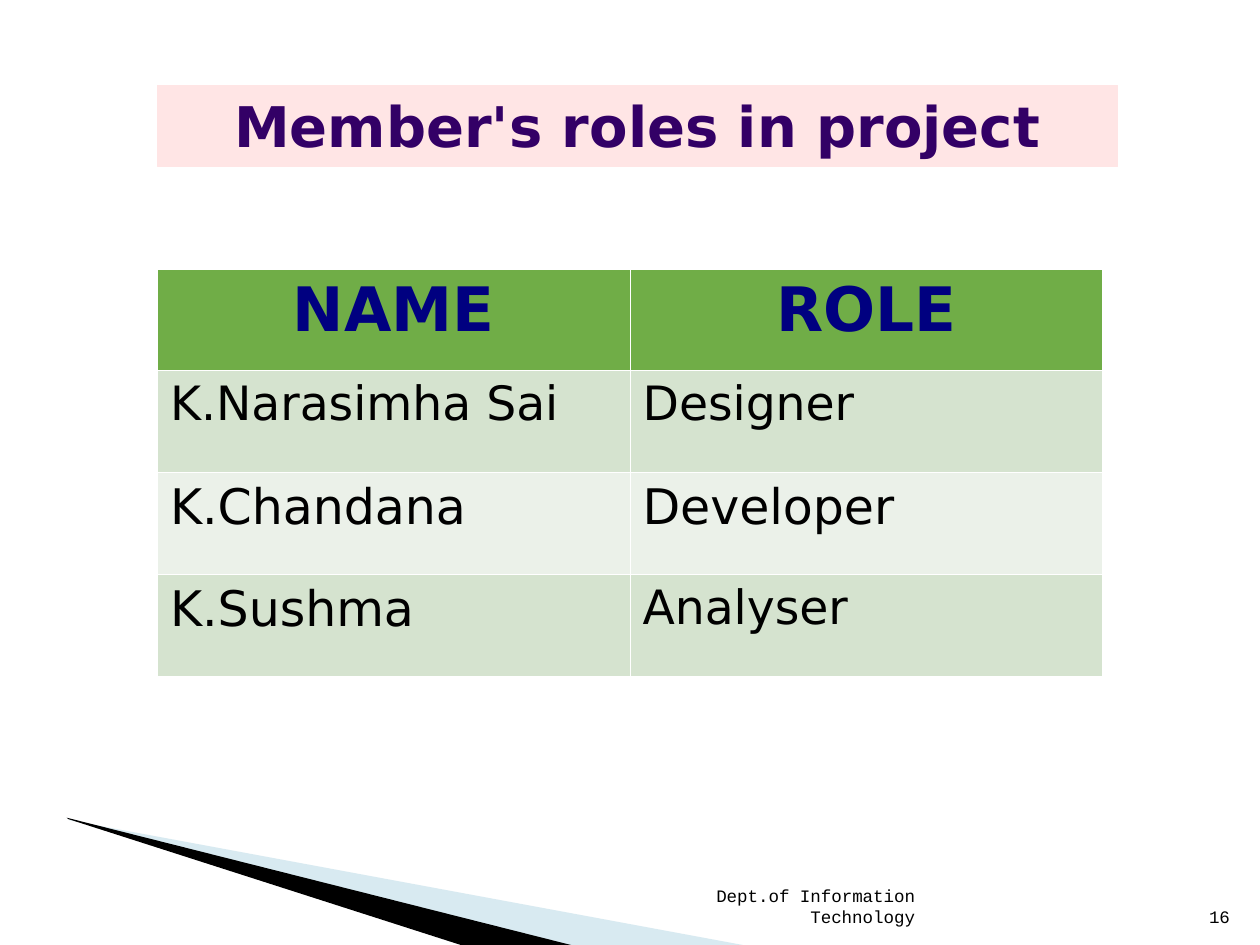
from lxml.etree import SubElement
from pptx import Presentation
from pptx.dml.color import RGBColor
from pptx.enum.text import MSO_ANCHOR as Anchor, MSO_AUTO_SIZE as AutoSize, PP_ALIGN as Align
from pptx.oxml.ns import qn
from pptx.util import Inches, Pt

BLACK = RGBColor(0x00, 0x00, 0x00)
WHITE = RGBColor(0xFF, 0xFF, 0xFF)
PALE_BLUE = RGBColor(0x9F, 0xCB, 0xDC)
PINK = RGBColor(0xFF, 0xE5, 0xE5)
PURPLE = RGBColor(0x33, 0x00, 0x66)
NAVY = RGBColor(0x00, 0x00, 0x80)
GREEN = RGBColor(0x70, 0xAD, 0x47)
LIGHT_GREEN = RGBColor(0xD5, 0xE3, 0xCF)
PALE_GREEN = RGBColor(0xEB, 0xF1, 0xE9)

MAIN_FONT = "DejaVu Sans"
FOOTER_FONT = "Courier New"

HEADING = "Member's roles in project"
ROLES = [
    [("NAME", 35), ("ROLE", 35)],
    [("K.Narasimha Sai", 27), ("Designer", 27)],
    [("K.Chandana", 28), ("Developer", 28)],
    [("K.Sushma", 28), ("Analyser", 27)],
]
FOOTERS = [("Dept.of Information Technology", 4.79, 2.57), ("16", 9.46, 0.4)]
WEDGES = [
    ([(0.55, 6.51), (5.95, 7.51), (4.56, 7.51), (0.55, 6.5)], PALE_BLUE, 40),
    ([(0.53, 6.49), (4.57, 7.51), (3.72, 7.52), (0.54, 6.5)], BLACK, 100),
]
COLUMN_WIDTH, ROW_HEIGHT = 3.75, 0.81


def format_text(frame, font_name, size, color, align, bold=False):
    paragraph = frame.paragraphs[0]
    paragraph.alignment = align
    font = paragraph.runs[0].font
    font.name, font.size, font.bold = font_name, Pt(size), bold
    font.color.rgb = color


def add_wedge(slide, points, color, opacity):
    corners = [(Inches(x), Inches(y)) for x, y in points]
    builder = slide.shapes.build_freeform(*corners[0])
    builder.add_line_segments(corners[1:], close=True)
    wedge = builder.convert_to_shape()
    wedge.shadow.inherit = False
    wedge.fill.solid()
    wedge.fill.fore_color.rgb = color
    wedge.line.fill.background()
    if opacity < 100:
        rgb = wedge.fill._xPr.find(qn("a:solidFill"))[0]
        SubElement(rgb, qn("a:alpha"), val=str(opacity * 1000))


def add_borders(cell, is_header):
    properties = cell._tc.get_or_add_tcPr()
    for side in "LRTB":
        width = 1.47 if is_header and side == "T" else 0.45
        line = SubElement(properties, qn(f"a:ln{side}"), w=str(Pt(width)))
        fill = SubElement(line, qn("a:solidFill"))
        SubElement(fill, qn("a:srgbClr"), val=str(WHITE))


def add_roles(slide):
    row_count, column_count = len(ROLES), len(ROLES[0])
    table = slide.shapes.add_table(
        row_count, column_count, Inches(1.25), Inches(2.13),
        Inches(COLUMN_WIDTH * column_count), Inches(ROW_HEIGHT * row_count),
    ).table
    for row, entries in enumerate(ROLES):
        is_header = row == 0
        background = GREEN if is_header else (PALE_GREEN, LIGHT_GREEN)[row % 2]
        for column, (text, size) in enumerate(entries):
            cell = table.cell(row, column)
            add_borders(cell, is_header)
            cell.fill.solid()
            cell.fill.fore_color.rgb = background
            cell.text_frame.text = text
            format_text(cell.text_frame, MAIN_FONT, size,
                        NAVY if is_header else BLACK,
                        Align.CENTER if is_header else Align.LEFT, is_header)


def add_heading(slide):
    title = slide.shapes.title
    title.left, title.top = Inches(1.25), Inches(0.68)
    title.width, title.height = Inches(7.62), Inches(0.64)
    title.fill.solid()
    title.fill.fore_color.rgb = PINK
    title.line.color.rgb = PINK
    title.line.width = Pt(0.75)
    frame = title.text_frame
    frame.text = HEADING
    frame.auto_size = AutoSize.NONE
    frame.vertical_anchor = Anchor.TOP
    format_text(frame, MAIN_FONT, 32, PURPLE, Align.CENTER, True)


def add_footer(slide, text, left, width):
    frame = slide.shapes.add_textbox(
        Inches(left), Inches(7.01), Inches(width), Inches(0.4)).text_frame
    frame.text = text
    frame.word_wrap = True
    frame.vertical_anchor = Anchor.BOTTOM
    format_text(frame, FOOTER_FONT, 10, BLACK, Align.RIGHT)


def main():
    deck = Presentation()
    deck.slide_width, deck.slide_height = Inches(10), Inches(7.5)
    slide = deck.slides.add_slide(deck.slide_layouts.get_by_name("Title Only"))
    for wedge in WEDGES:
        add_wedge(slide, *wedge)
    add_heading(slide)
    add_roles(slide)
    for footer in FOOTERS:
        add_footer(slide, *footer)
    deck.save("out.pptx")


if __name__ == "__main__":
    main()
